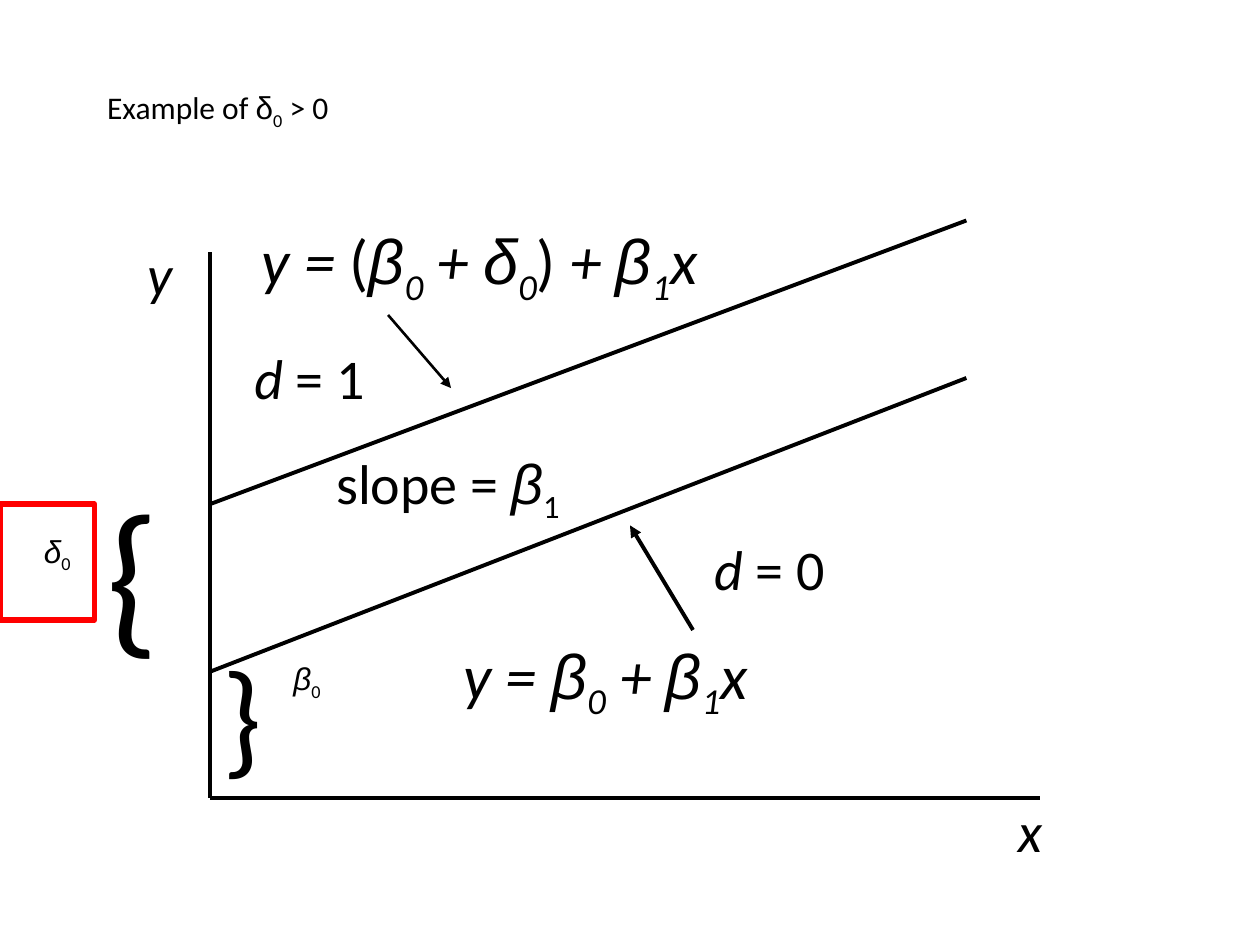
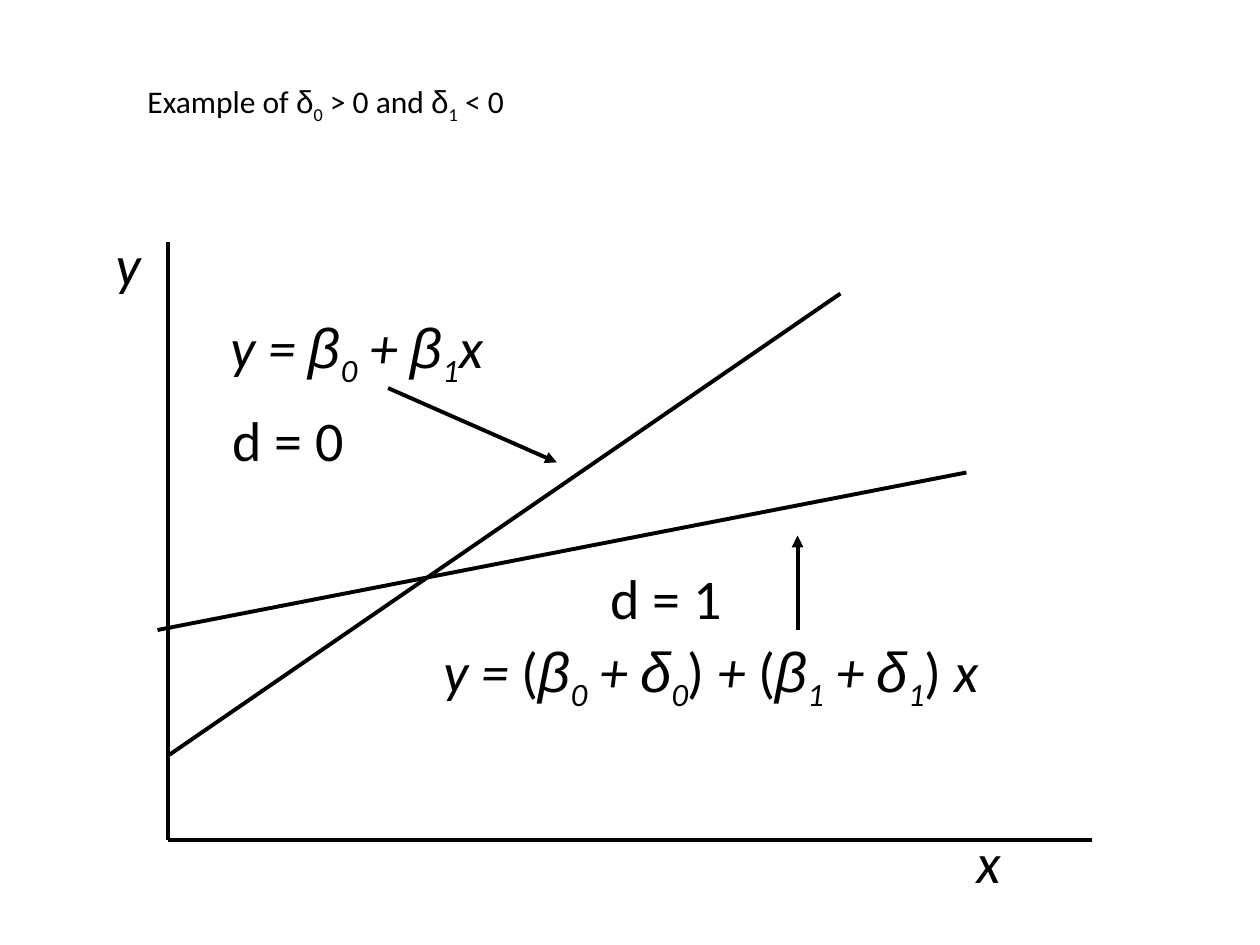
from itertools import groupby

from lxml import etree
from pptx import Presentation
from pptx.dml.color import RGBColor
from pptx.enum.shapes import MSO_CONNECTOR as Connector, MSO_SHAPE as Shape
from pptx.enum.text import MSO_ANCHOR as Anchor, MSO_AUTO_SIZE as AutoSize, PP_ALIGN as Align
from pptx.oxml.ns import qn
from pptx.util import Inches, Pt

COLORS = {"ink": "000000", "marker": "FF0000", "paper": "FFFFFF"}
TEXT_FONT, GREEK_FONT = "Calibri", "Arial"
GREEK = "βδ"
TITLE_SIZE, LABEL_SIZE = 18, 32
LINE_WIDTH = 2.25
LABEL_HEIGHT = 0.63


def rgb(name):
    return RGBColor.from_string(COLORS[name])


# Formula markup: * switches italics, _ lowers the next character
def styled_characters(markup):
    italic = lowered = False
    for char in markup:
        if char == "*":
            italic = not italic
        elif char == "_":
            lowered = True
        else:
            font = GREEK_FONT if char in GREEK else TEXT_FONT
            yield char, (font, italic, lowered)
            lowered = False


def write_formula(frame, markup, size):
    para = frame.paragraphs[0]
    para.alignment = Align.LEFT
    for style, chars in groupby(styled_characters(markup), key=lambda item: item[1]):
        font, italic, lowered = style
        span = para.add_run()
        span.text = "".join(char for char, _ in chars)
        span.font.name = font
        span.font.size = Pt(size)
        span.font.italic = italic
        span.font.color.rgb = rgb("ink")
        if lowered:
            span.font._element.set("baseline", "-25000")


def add_page(deck, title, left, top, width):
    page = deck.slides.add_slide(deck.slide_layouts[5])
    page.background.fill.solid()
    page.background.fill.fore_color.rgb = rgb("paper")
    box = page.shapes.title
    box.left, box.top = Inches(left), Inches(top)
    box.width, box.height = Inches(width), Inches(0.83)
    frame = box.text_frame
    frame.vertical_anchor = Anchor.TOP
    frame.auto_size = AutoSize.NONE
    write_formula(frame, title, TITLE_SIZE)
    return page


def add_label(page, markup, left, top, width, height=LABEL_HEIGHT, size=LABEL_SIZE):
    box = page.shapes.add_textbox(Inches(left), Inches(top), Inches(width), Inches(height))
    frame = box.text_frame
    frame.word_wrap = width > 2
    frame.auto_size = AutoSize.SHAPE_TO_FIT_TEXT
    write_formula(frame, markup, size)


def add_line(page, start, end, width=LINE_WIDTH):
    line = page.shapes.add_connector(
        Connector.STRAIGHT, *(Inches(value) for value in (*start, *end)))
    line.line.color.rgb = rgb("ink")
    line.line.width = Pt(width)
    etree.SubElement(line._element.spPr, qn("a:effectLst"))
    return line


def add_arrow(page, start, end, width=LINE_WIDTH):
    outline = add_line(page, start, end, width).line._get_or_add_ln()
    etree.SubElement(outline, qn("a:tailEnd"), type="triangle")


def add_axes(page, origin, top, right):
    left, bottom = origin
    add_line(page, (left, top), origin)
    add_line(page, origin, (right, bottom))


def add_marker(page, left, top, width, height):
    marker = page.shapes.add_shape(
        Shape.RECTANGLE, Inches(left), Inches(top), Inches(width), Inches(height))
    marker.shadow.inherit = False
    marker.fill.background()
    marker.line.color.rgb = rgb("marker")
    marker.line.width = Pt(3)


def build_intercept_page(deck):
    page = add_page(deck, "Example of δ_0 > 0", 0.75, 0.65, 4.65)

    # Axes and parallel regression lines
    add_axes(page, (1.67, 6.33), top=2, right=8.25)
    add_line(page, (1.67, 4), (7.67, 1.75))
    add_line(page, (1.67, 5.33), (7.67, 3))
    add_label(page, "*x", 7.98, 6.27, 0.4)
    add_label(page, "*y", 1.07, 1.85, 0.4)

    # Braces with the intercepts
    add_label(page, "{", 0.75, 3.67, 0.68, 1.7, size=96)
    add_label(page, "*δ*_0", 0.25, 4.17, 0.7, 0.83, TITLE_SIZE)
    add_label(page, "}", 1.67, 5, 0.68, 1.3, size=72)
    add_label(page, "*β*_0", 2.23, 5.18, 0.74, 0.83, TITLE_SIZE)

    # Equations and arrows to their lines
    add_label(page, "*y = *(*β_0 + δ_0*)* + β_1x", 1.98, 1.71, 4.03, 0.7, 36)
    add_arrow(page, (3.08, 2.5), (3.58, 3.08), width=1.5)
    add_label(page, "*y = β_0 + β_1x", 3.58, 5, 2.7, 0.7, 36)
    add_arrow(page, (5.5, 5), (5, 4.17))
    add_label(page, "slope = *β*_1", 2.57, 3.51, 2)
    add_label(page, "*d* = 0", 5.57, 4.19, 1.12)
    add_label(page, "*d* = 1", 1.92, 2.68, 1.12)

    add_marker(page, 0, 4, 0.75, 0.92)


def build_slope_page(deck):
    page = add_page(deck, "Example of δ_0 > 0 and δ_1 < 0", 1.07, 0.6, 7.3)

    # Axes and crossing regression lines
    add_axes(page, (1.33, 6.67), top=1.92, right=8.67)
    add_line(page, (1.33, 6), (6.67, 2.33))
    add_line(page, (1.25, 5), (7.67, 3.75))
    add_label(page, "*y", 0.82, 1.77, 0.4)
    add_label(page, "*x", 7.65, 6.52, 0.4)

    # Equations and arrows to their lines
    add_label(page, "*y = β_0 + β_1x", 1.73, 2.43, 2.42)
    add_label(page, "*y = *(*β_0 + δ_0*)* + *(*β_1 + δ_1*)* x", 3.42, 5, 5.25)
    add_arrow(page, (3.08, 3.08), (4.42, 3.67))
    add_arrow(page, (6.33, 5), (6.33, 4.25))
    add_label(page, "d = 1", 4.75, 4.42, 1.12)
    add_label(page, "d = 0", 1.75, 3.17, 1.12)


def main():
    deck = Presentation()
    deck.slide_width, deck.slide_height = Inches(10), Inches(7.5)
    build_intercept_page(deck)
    build_slope_page(deck)
    deck.save("out.pptx")


if __name__ == "__main__":
    main()
